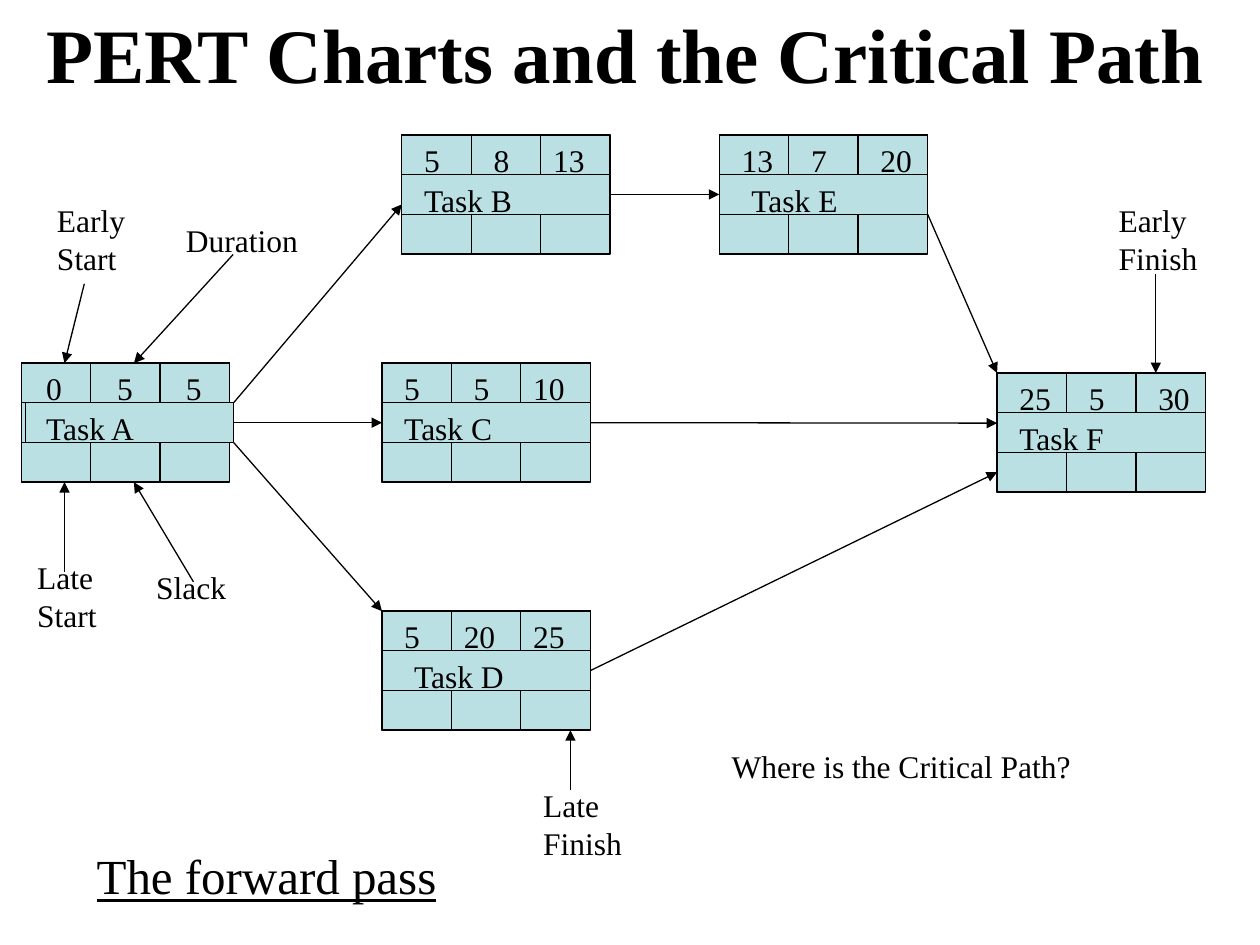
import pptx
import pptx.dml.color
import pptx.enum.shapes
import pptx.enum.text
import pptx.oxml
import pptx.oxml.ns
import pptx.util
from pptx.util import Cm

FONT = "Times New Roman"
BLACK, TEAL = "000000", "BBE0E3"
COL, ROW = 1.4, 0.8  # grid of a task box, in cm

# name: left, top, band shift, label indent, number indents, numbers
TASKS = {
    "A": (0.43, 7.32, 0.08, 0.25, (0.25, 1.68, 3.07), (0, 5, 5)),
    "B": (8.1, 2.72, 0, 0.2, (0.2, 1.6, 2.8), (5, 8, 13)),
    "E": (14.5, 2.72, 0, 0.4, (0.2, 1.6, 3), (13, 7, 20)),
    "C": (7.7, 7.32, 0, 0.2, (0.2, 1.6, 2.8), (5, 5, 10)),
    "D": (7.7, 12.32, 0, 0.4, (0.2, 1.4, 2.8), (5, 20, 25)),
    "F": (20.1, 7.52, 0, 0.2, (0.2, 1.6, 3), (25, 5, 30)),
}

# text, box, arrow start and end measured from the box corner
CALLOUTS = [
    ("Early Start", (0.9, 3.93, 2.8, 1.8), (0.8, 1.79), (0.4, 3.39)),
    ("Duration", (3.5, 4.33, 3, 1.8), (1.2, 0.8), (-0.8, 2.99)),
    ("Early Finish", (22.3, 3.93, 2.2, 2.5), (1, 1.6), (1, 3.59)),
    ("Late Start", (0.5, 11.13, 2.2, 1.8), (0.8, 0.4), (0.8, -1.41)),
    ("Slack", (2.9, 11.33, 2.2, 1), (1, 0.4), (-0.2, -1.61)),
    ("Late Finish", (10.7, 15.73, 2.2, 2.5), (0.8, 0.2), (0.8, -1.01)),
]


def rgb(value):
    return pptx.dml.color.RGBColor.from_string(value)


def add_text(s, x, y, w, h, text, size=18, bold=False, underline=False):
    tf = s.shapes.add_textbox(Cm(x), Cm(y), Cm(w), Cm(h)).text_frame
    tf.word_wrap = True
    tf.auto_size = pptx.enum.text.MSO_AUTO_SIZE.SHAPE_TO_FIT_TEXT
    tf.text = text
    p = tf.paragraphs[0]
    p.space_before = pptx.util.Pt(size * 0.625)
    font = p.runs[0].font
    font.name, font.size = FONT, pptx.util.Pt(size)
    font.bold, font.underline = bold, underline
    font.color.rgb = rgb(BLACK)


def add_rect(s, x, y, w, h):
    sp = s.shapes.add_shape(pptx.enum.shapes.MSO_SHAPE.RECTANGLE,
                            Cm(x), Cm(y), Cm(w), Cm(h))
    sp.shadow.inherit = False
    sp.fill.solid()
    sp.fill.fore_color.rgb = rgb(TEAL)
    sp.line.color.rgb = rgb(BLACK)
    sp.line.width = pptx.util.Pt(0.75)
    return sp


def add_arrow(s, start, end):
    line = s.shapes.add_connector(pptx.enum.shapes.MSO_CONNECTOR.STRAIGHT,
                                  *(Cm(v) for v in (*start, *end)))
    line.line.color.rgb = rgb(BLACK)
    line.line.width = pptx.util.Pt(0.75)
    pptx.oxml.ns.qn("a:ln")
    ln = line.line._get_or_add_ln()
    ln.append(pptx.oxml.parse_xml(
        f'<a:tailEnd {pptx.oxml.ns.nsdecls("a")} type="triangle"/>'))
    line._element.spPr.append(pptx.oxml.parse_xml(
        f'<a:effectLst {pptx.oxml.ns.nsdecls("a")}/>'))
    return line


def add_task(s, name, x, y, shift, indent, number_indents, numbers):
    """Draw one task box and return its middle band."""
    add_rect(s, x, y, 3 * COL, 3 * ROW)
    add_rect(s, x, y, 3 * COL, ROW)
    band = add_rect(s, x + shift, y + ROW, 3 * COL, ROW)
    for row in (0, 2):
        for col in (0, 1):
            add_rect(s, x + col * COL, y + row * ROW, COL, ROW)
    add_text(s, x + indent, y + ROW, 3.4, 1, f"Task {name}")
    for dx, number in zip(number_indents, numbers):
        add_text(s, x + dx, y, 1.2, 1, str(number))
    return band


def add_callout(s, text, box, start, end):
    x, y = box[:2]
    add_text(s, *box, text)
    add_arrow(s, (x + start[0], y + start[1]), (x + end[0], y + end[1]))


def add_network(s):
    bands = {name: add_task(s, name, *task) for name, task in TASKS.items()}

    def at(name, dx, dy):
        return TASKS[name][0] + dx, TASKS[name][1] + dy

    def right(name, dy):
        return at(name, 3 * COL + TASKS[name][2], dy)

    # Arrows between the middles of two bands
    for a, b in ("AC", "BE"):
        line = add_arrow(s, right(a, 1.5 * ROW), at(b, 0, 1.5 * ROW))
        line.begin_connect(bands[a], 3)
        line.end_connect(bands[b], 1)

    # Arrows from the middle of a band to a point on the last task
    for name, dy in (("C", 1.01), ("D", 2)):
        line = add_arrow(s, right(name, 1.5 * ROW), at("F", 0, dy))
        line.begin_connect(bands[name], 3)

    # Arrows from the corner of a band
    add_arrow(s, right("A", ROW), at("B", 0, 1.4))
    add_arrow(s, right("A", 2 * ROW), at("D", 0, 0))
    add_arrow(s, right("E", 2 * ROW), at("F", 0, 0))


def main():
    prs = pptx.Presentation()
    prs.slide_width, prs.slide_height = Cm(25.4), Cm(19.05)
    s = prs.slides.add_slide(prs.slide_layouts[6])
    add_network(s)
    for callout in CALLOUTS:
        add_callout(s, *callout)
    # Title, question and heading
    add_text(s, 0.69, 0, 24.7, 4, "PERT Charts and the Critical Path",
             size=44, bold=True)
    add_text(s, 14.5, 14.93, 8.2, 1.8, "Where is the Critical Path?")
    add_text(s, 1.7, 16.93, 15.4, 1.45, "The forward pass",
             size=28, underline=True)
    prs.save("out.pptx")


if __name__ == "__main__":
    main()
